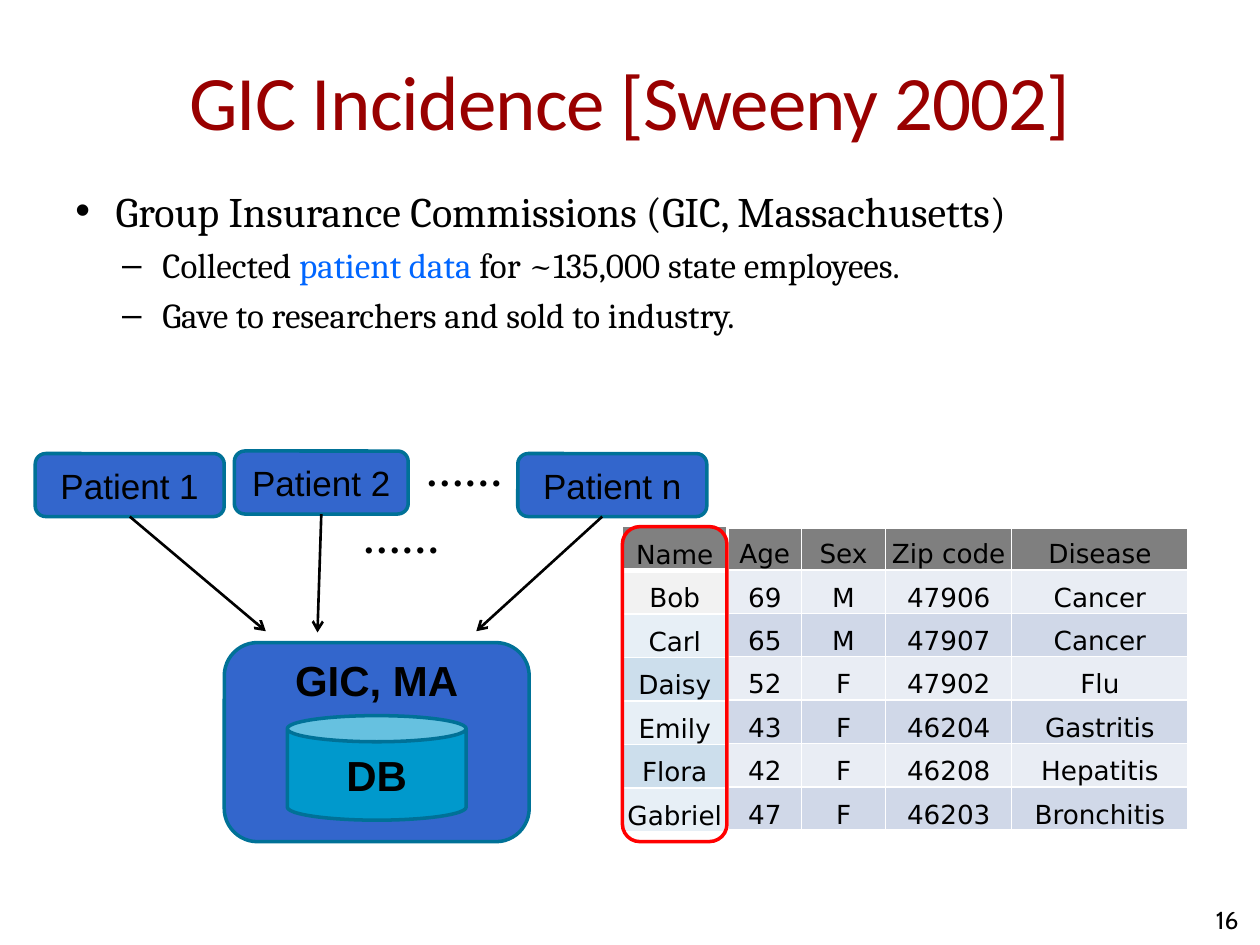
from lxml.etree import SubElement
from pptx import Presentation
from pptx.dml.color import RGBColor
from pptx.enum.shapes import MSO_CONNECTOR as CONN, MSO_SHAPE as SHAPE
from pptx.enum.text import MSO_ANCHOR as ANCHOR, PP_ALIGN as ALIGN
from pptx.oxml.ns import qn
from pptx.util import Inches, Pt

BLACK = RGBColor(0x00, 0x00, 0x00)
WHITE = RGBColor(0xFF, 0xFF, 0xFF)
DARK_RED = RGBColor(0x99, 0x00, 0x00)
RED = RGBColor(0xFF, 0x00, 0x00)
LINK_BLUE = RGBColor(0x00, 0x66, 0xFF)
BOX_BLUE = RGBColor(0x33, 0x66, 0xCC)
DB_BLUE = RGBColor(0x00, 0x99, 0xCC)
TEAL = RGBColor(0x00, 0x71, 0x97)
HEAD_GRAY = RGBColor(0x7F, 0x7F, 0x7F)
NAME_GRAY = RGBColor(0x80, 0x80, 0x80)
PALE_GRAY = RGBColor(0xF2, 0xF2, 0xF2)
BAND_LIGHT = RGBColor(0xE9, 0xED, 0xF4)
BAND_DARK = RGBColor(0xD0, 0xD8, 0xE8)
NAME_LIGHT = RGBColor(0xE7, 0xEF, 0xF6)
NAME_DARK = RGBColor(0xCC, 0xDE, 0xEC)

BULLETS = [
    (0, 24, [("Group Insurance Commissions (GIC, Massachusetts)", BLACK)]),
    (1, 20, [("Collected ", BLACK), ("patient data ", LINK_BLUE),
             ("for ~135,000 state employees.", BLACK)]),
    (1, 20, [("Gave to researchers and sold to industry.", BLACK)]),
]
NAMES = [["Name"], ["Bob"], ["Carl"], ["Daisy"], ["Emily"], ["Flora"], ["Gabriel"]]
RECORDS = [
    ["Age", "Sex", "Zip code", "Disease"],
    ["69", "M", "47906", "Cancer"],
    ["65", "M", "47907", "Cancer"],
    ["52", "F", "47902", "Flu"],
    ["43", "F", "46204", "Gastritis"],
    ["42", "F", "46208", "Hepatitis"],
    ["47", "F", "46203", "Bronchitis"],
]


def add_run(p, text, font, size, color=BLACK, bold=False):
    """Add one formatted run to a paragraph."""
    r = p.add_run()
    r.text = text
    r.font.name, r.font.size, r.font.bold = font, Pt(size), bold
    r.font.color.rgb = color
    return r


def set_insets(obj, left, top, right, bottom):
    """Set the inner margins of a text frame or table cell."""
    obj.margin_left, obj.margin_top = Inches(left), Inches(top)
    obj.margin_right, obj.margin_bottom = Inches(right), Inches(bottom)


def add_title(s, text):
    """Move and fill the title placeholder."""
    sp = s.shapes.title
    sp.left, sp.top, sp.width, sp.height = map(Inches, (0.5, 0.17, 9, 1.25))
    tf = sp.text_frame
    tf.vertical_anchor = ANCHOR.MIDDLE
    set_insets(tf, 0, 0.05, 0, 0.05)
    p = tf.paragraphs[0]
    p.alignment = ALIGN.CENTER
    r = add_run(p, text, "Calibri", 44, DARK_RED)
    r.font._element.set("spc", "-50")


def add_textbox(s, box):
    """Add a wrapping text box and return its text frame."""
    tf = s.shapes.add_textbox(*map(Inches, box)).text_frame
    tf.word_wrap = True
    return tf


def add_bullets(s, box, items):
    """Add a two-level bulleted list."""
    tf = add_textbox(s, box)
    for i, (level, size, runs) in enumerate(items):
        p = tf.add_paragraph() if i else tf.paragraphs[0]
        p.level = level
        pPr = p._p.get_or_add_pPr()
        pPr.set("marL", str(Inches(0.69 if level else 0.32)))
        pPr.set("indent", str(Inches(-0.32)))
        clr = SubElement(pPr, qn("a:buClr"))
        SubElement(clr, qn("a:srgbClr"), val=str(BLACK))
        SubElement(pPr, qn("a:buFont"), typeface="Arial")
        SubElement(pPr, qn("a:buChar"), char="–" if level else "•")
        if i:
            p.space_before = Pt(4.5)
        for text, color in runs:
            add_run(p, text, "Cambria", size, color)


def add_dots(s, left, top):
    """Add a bold ellipsis."""
    tf = add_textbox(s, (left, top, 0.92, 0.47))
    add_run(tf.paragraphs[0], "……", "Times New Roman", 22, bold=True)


def add_page_number(s, text):
    """Add the page number at the lower right."""
    tf = add_textbox(s, (7.5, 7.1, 2.33, 0.4))
    tf.vertical_anchor = ANCHOR.MIDDLE
    set_insets(tf, 0, 0, 0, 0)
    tf.paragraphs[0].alignment = ALIGN.RIGHT
    add_run(tf.paragraphs[0], text, "Cabin", 14)


def add_box(s, kind, box, fill=None, line=TEAL):
    """Add an outlined shape, filled when a colour is given."""
    sp = s.shapes.add_shape(kind, *map(Inches, box))
    sp.shadow.inherit = False
    if fill is None:
        sp.fill.background()
    else:
        sp.fill.solid()
        sp.fill.fore_color.rgb = fill
    sp.line.color.rgb, sp.line.width = line, Pt(2)
    return sp


def add_label(sp, text, size, bold=False, anchor=ANCHOR.MIDDLE):
    """Write a centred label in a shape."""
    tf = sp.text_frame
    tf.vertical_anchor = anchor
    if anchor == ANCHOR.TOP:
        tf.margin_top = Inches(0.02)
    tf.paragraphs[0].alignment = ALIGN.CENTER
    add_run(tf.paragraphs[0], text, "Arial", size, bold=bold)


def add_arrow(s, start, end, source=None):
    """Add an arrow, joined to the bottom of a source shape if given."""
    cx = s.shapes.add_connector(CONN.STRAIGHT, *map(Inches, start + end))
    if source is not None:
        cx.begin_connect(source, 2)
    cx.line.color.rgb, cx.line.width = BLACK, Pt(1.5)
    SubElement(cx.line._get_or_add_ln(), qn("a:tailEnd"), type="arrow")
    SubElement(cx._element.spPr, qn("a:effectLst"))


def set_borders(cell, top, bottom):
    """Give a cell white borders, with top and bottom widths in points."""
    tcPr = cell._tc.get_or_add_tcPr()
    for side, width in (("L", 1), ("R", 1), ("T", top), ("B", bottom)):
        ln = SubElement(tcPr, qn(f"a:ln{side}"), w=str(Pt(width)))
        fill = SubElement(ln, qn("a:solidFill"))
        SubElement(fill, qn("a:srgbClr"), val=str(WHITE))


def add_grid(s, box, rows, widths, fills, heavy):
    """Add a table with one fill per row and heavy (row, side) borders."""
    frame = s.shapes.add_table(len(rows), len(widths), *map(Inches, box))
    table = frame.table
    table.first_row = table.horz_banding = False
    for col, width in zip(table.columns, widths):
        col.width = Inches(width)
    for i, values in enumerate(rows):
        table.rows[i].height = Inches(box[3] / len(rows))
        top, bottom = (3 if (i, side) in heavy else 1 for side in "TB")
        for j, value in enumerate(values):
            cell = table.cell(i, j)
            set_borders(cell, top, bottom)
            cell.fill.solid()
            cell.fill.fore_color.rgb = fills[i]
            cell.vertical_anchor = ANCHOR.BOTTOM
            set_insets(cell, 0.01, 0.01, 0.01, 0)
            p = cell.text_frame.paragraphs[0]
            p.alignment = ALIGN.CENTER
            add_run(p, value, "DejaVu Sans", 15)


def main():
    """Build the slide and save it."""
    prs = Presentation()
    prs.slide_width, prs.slide_height = Inches(10), Inches(7.5)
    s = prs.slides.add_slide(prs.slide_layouts[5])
    add_title(s, "GIC Incidence [Sweeny 2002]")
    add_page_number(s, "16")
    add_bullets(s, (0.5, 1.42, 9.15, 1.94), BULLETS)

    patients = []
    for name, left, top, width in (("Patient 1", 0.28, 3.6, 1.5),
                                   ("Patient 2", 1.86, 3.58, 1.38),
                                   ("Patient n", 4.11, 3.6, 1.5)):
        sp = add_box(s, SHAPE.ROUNDED_RECTANGLE, (left, top, width, 0.5), BOX_BLUE)
        add_label(sp, name, 20)
        patients.append(sp)
    gic = add_box(s, SHAPE.ROUNDED_RECTANGLE, (1.78, 5.1, 2.42, 1.58), BOX_BLUE)
    add_label(gic, "GIC, MA", 24, True, ANCHOR.TOP)
    add_label(add_box(s, SHAPE.CAN, (2.28, 5.68, 1.42, 0.83), DB_BLUE), "DB", 24, True)

    add_arrow(s, (1.03, 4.1), (2.11, 5.01), patients[0])
    add_arrow(s, (2.55, 4.08), (2.52, 5.02), patients[1])
    add_arrow(s, (4.78, 4.1), (3.78, 5.01))
    add_dots(s, 3.28, 3.51)
    add_dots(s, 2.78, 4.04)

    add_grid(s, (5.78, 4.18, 3.65, 2.41), RECORDS, (0.58, 0.67, 1, 1.4),
             [HEAD_GRAY] + [BAND_LIGHT, BAND_DARK] * 3, {(0, "T")})
    add_grid(s, (4.94, 4.18, 0.83, 2.42), NAMES, (0.83,),
             [NAME_GRAY, PALE_GRAY] + [NAME_LIGHT, NAME_DARK] * 2 + [NAME_LIGHT],
             {(0, "B"), (1, "T")})
    add_box(s, SHAPE.ROUNDED_RECTANGLE, (4.94, 4.18, 0.83, 2.5), line=RED)
    prs.save("out.pptx")


if __name__ == "__main__":
    main()
